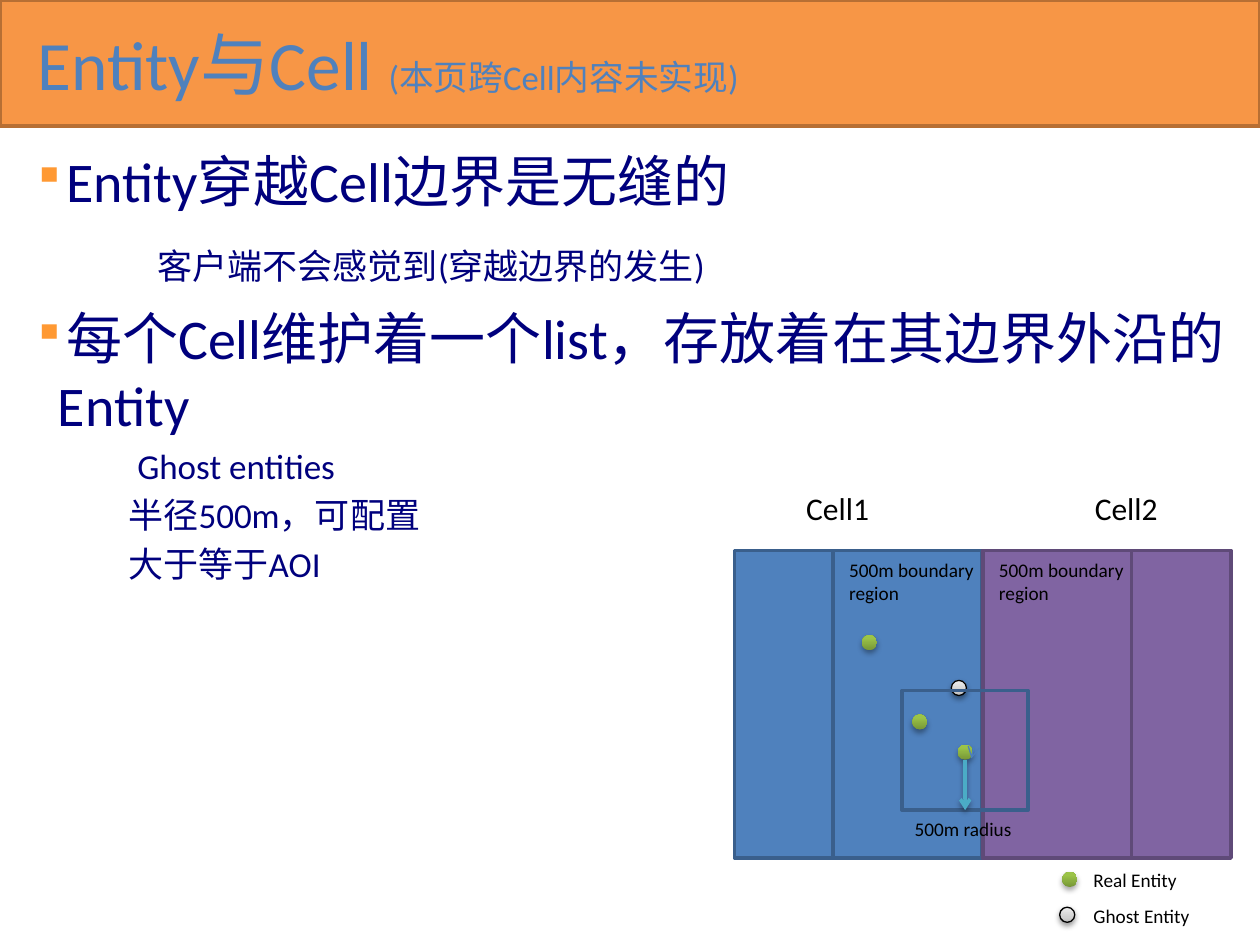
from dataclasses import dataclass
from typing import Optional

from lxml.etree import SubElement
from pptx import Presentation
from pptx.dml.color import RGBColor
from pptx.enum.shapes import MSO_CONNECTOR, MSO_SHAPE
from pptx.enum.text import MSO_ANCHOR
from pptx.oxml.ns import qn
from pptx.util import Inches, Pt


@dataclass(frozen=True)
class Theme:
    font: str = "Calibri"
    banner: str = "F79646"
    banner_line: str = "B76F34"
    title: str = "4F81BD"
    body: str = "00007D"
    bullet: str = "FF9933"
    label: str = "000000"
    blue: str = "4F81BD"
    blue_line: str = "3A5F8C"
    purple: str = "8064A2"
    purple_line: str = "5F4A78"
    radius: str = "4BACC6"
    pointer: str = "4B7EBC"
    title_size: float = 39.6
    note_size: float = 19.8
    heading_size: float = 32
    detail_size: float = 20
    cell_size: float = 18
    label_size: float = 11


@dataclass(frozen=True)
class EntityStyle:
    stops: tuple
    shadow_alpha: int
    shadow_distance: float
    outline: Optional[str] = None


@dataclass(frozen=True)
class BodyLine:
    text: str
    size: float
    margin: float
    before: float
    after: float = 0
    bullet: bool = False


@dataclass(frozen=True)
class Label:
    text: str
    left: float
    top: float
    width: float
    height: float
    size: float


THEME = Theme()
REAL = EntityStyle(((0, "779737"), (80, "9BC348"), (100, "9DC746")), 35, 1.8)
GHOST = EntityStyle(((0, "BDBDBD"), (35, "D1D1D1"), (100, "EEEEEE")), 38, 1.6, "000000")

BODY = (
    BodyLine("Entity穿越Cell边界是无缝的", THEME.heading_size, 0.2, 6.4, bullet=True),
    BodyLine("客户端不会感觉到(穿越边界的发生)", THEME.detail_size, 0.99, 17.8, 3.2),
    BodyLine("每个Cell维护着一个list，存放着在其边界外沿的Entity",
             THEME.heading_size, 0.2, 6.4, bullet=True),
    BodyLine("Ghost entities", THEME.detail_size, 0.83, 4),
    BodyLine("半径500m，可配置", THEME.detail_size, 0.76, 4),
    BodyLine("大于等于AOI", THEME.detail_size, 0.76, 4),
)

LABELS = (
    Label("Cell1", 6.3, 3.83, 0.71, 0.4, THEME.cell_size),
    Label("Cell2", 8.59, 3.83, 0.71, 0.4, THEME.cell_size),
    Label("500m radius", 7.16, 6.44, 1.19, 0.29, THEME.label_size),
    Label("Real Entity", 8.58, 6.84, 1.3, 0.29, THEME.label_size),
    Label("Ghost Entity", 8.58, 7.13, 1.3, 0.29, THEME.label_size),
    Label("500m boundary region", 6.64, 4.38, 1.19, 0.47, THEME.label_size),
    Label("500m boundary region", 7.83, 4.38, 1.19, 0.47, THEME.label_size),
)


def rgb(color: str) -> RGBColor:
    return RGBColor.from_string(color)


def add_color(parent, color: str):
    return SubElement(parent, qn("a:srgbClr"), val=color)


def add_shadow(properties, alpha: int, distance: float) -> None:
    effects = properties.find(qn("a:effectLst"))
    if effects is None:
        effects = SubElement(properties, qn("a:effectLst"))
    shadow = SubElement(effects, qn("a:outerShdw"), blurRad=str(Pt(3.1)),
                        dist=str(Pt(distance)), dir="5400000", rotWithShape="0")
    SubElement(add_color(shadow, "000000"), qn("a:alpha"), val=str(alpha * 1000))


def add_box(slide, kind, left: float, top: float, width: float, height: float,
            fill: Optional[str], line: str):
    shape = slide.shapes.add_shape(kind, Inches(left), Inches(top), Inches(width), Inches(height))
    shape.shadow.inherit = False
    if fill:
        shape.fill.solid()
        shape.fill.fore_color.rgb = rgb(fill)
    else:
        shape.fill.background()
    shape.line.color.rgb = rgb(line)
    shape.line.width = Pt(2)
    return shape


def add_entity(slide, left: float, top: float, style: EntityStyle) -> None:
    shape = slide.shapes.add_shape(MSO_SHAPE.FLOWCHART_CONNECTOR, Inches(left), Inches(top),
                                   Inches(0.12), Inches(0.12))
    shape.shadow.inherit = False
    shape.fill.gradient()
    properties = shape._element.spPr
    gradient = properties.find(qn("a:gradFill"))
    for child in list(gradient):
        gradient.remove(child)
    stops = SubElement(gradient, qn("a:gsLst"))
    for position, color in style.stops:
        add_color(SubElement(stops, qn("a:gs"), pos=str(position * 1000)), color)
    SubElement(gradient, qn("a:lin"), ang="16200000", scaled="0")
    if style.outline:
        shape.line.color.rgb = rgb(style.outline)
        shape.line.width = Pt(0.75)
    else:
        shape.line.fill.background()
    add_shadow(properties, style.shadow_alpha, style.shadow_distance)


def add_arrow(slide, start: tuple, end: tuple, color: str, width: float):
    connector = slide.shapes.add_connector(MSO_CONNECTOR.STRAIGHT, *map(Inches, start + end))
    connector.line.color.rgb = rgb(color)
    connector.line.width = Pt(width)
    SubElement(connector.line._get_or_add_ln(), qn("a:tailEnd"), type="arrow")
    SubElement(connector._element.spPr, qn("a:effectLst"))
    return connector


def add_text_frame(slide, left: float, top: float, width: float, height: float):
    text_box = slide.shapes.add_textbox(Inches(left), Inches(top), Inches(width), Inches(height))
    text_box.text_frame.word_wrap = True
    return text_box.text_frame


def style_font(font, size: float, color: str) -> None:
    font.name = THEME.font
    font.size = Pt(size)
    font.color.rgb = rgb(color)


def add_label(slide, label: Label) -> None:
    frame = add_text_frame(slide, label.left, label.top, label.width, label.height)
    paragraph = frame.paragraphs[0]
    paragraph.text = label.text
    style_font(paragraph.font, label.size, THEME.label)


def add_title(slide) -> None:
    add_box(slide, MSO_SHAPE.RECTANGLE, 0, 0, 10, 1, THEME.banner, THEME.banner_line)
    frame = add_text_frame(slide, 0.2, 0.14, 7.72, 0.71)
    frame.vertical_anchor = MSO_ANCHOR.MIDDLE
    for text, size in (("Entity与Cell ", THEME.title_size), ("(本页跨Cell内容未实现)", THEME.note_size)):
        run = frame.paragraphs[0].add_run()
        run.text = text
        style_font(run.font, size, THEME.title)


def add_body(slide) -> None:
    frame = add_text_frame(slide, 0.2, 1.15, 9.57, 5.95)
    frame.margin_left, frame.margin_top = Inches(0.06), Inches(0.01)
    frame.margin_right, frame.margin_bottom = Inches(0.04), Inches(0.05)
    for index, line in enumerate(BODY):
        paragraph = frame.add_paragraph() if index else frame.paragraphs[0]
        paragraph.text = line.text
        paragraph.space_before, paragraph.space_after = Pt(line.before), Pt(line.after)
        properties = paragraph._p.get_or_add_pPr()
        properties.set("marL", str(Inches(line.margin)))
        properties.set("indent", str(Inches(-0.2 if line.bullet else 0)))
        if line.bullet:
            add_color(SubElement(properties, qn("a:buClr")), THEME.bullet)
            SubElement(properties, qn("a:buSzPct"), val="80000")
            SubElement(properties, qn("a:buChar"), char="▪")
        style_font(paragraph.font, line.size, THEME.body)


def add_diagram(slide) -> None:
    process = MSO_SHAPE.FLOWCHART_PROCESS
    # Each cell, then its boundary region beside the shared edge
    for left, boundary_left, fill, line in ((5.83, 6.61, THEME.blue, THEME.blue_line),
                                            (7.8, 7.8, THEME.purple, THEME.purple_line)):
        add_box(slide, process, left, 4.37, 1.97, 2.44, fill, line)
        add_box(slide, process, boundary_left, 4.37, 1.18, 2.44, fill, line)
    # Entities, including the two in the legend
    for left, top, style in ((7.24, 5.67, REAL), (7.6, 5.91, REAL), (6.84, 5.04, REAL),
                             (7.55, 5.4, GHOST), (8.43, 6.92, REAL), (8.41, 7.2, GHOST)):
        add_entity(slide, left, top, style)
    # Area of interest and its radius
    area = add_box(slide, process, 7.16, 5.48, 1, 0.95, None, THEME.blue_line)
    add_arrow(slide, (7.72, 5.97), (7.71, 6.02), THEME.pointer, 0.75)
    radius = add_arrow(slide, (7.66, 6.03), (7.66, 6.43), THEME.radius, 2)
    radius.end_connect(area, 2)
    add_shadow(radius._element.spPr, 38, 1.6)
    for label in LABELS:
        add_label(slide, label)


def main() -> None:
    presentation = Presentation()
    presentation.slide_width, presentation.slide_height = Inches(10), Inches(7.5)
    slide = presentation.slides.add_slide(presentation.slide_layouts[6])
    add_title(slide)
    add_body(slide)
    add_diagram(slide)
    presentation.save("out.pptx")


if __name__ == "__main__":
    main()
